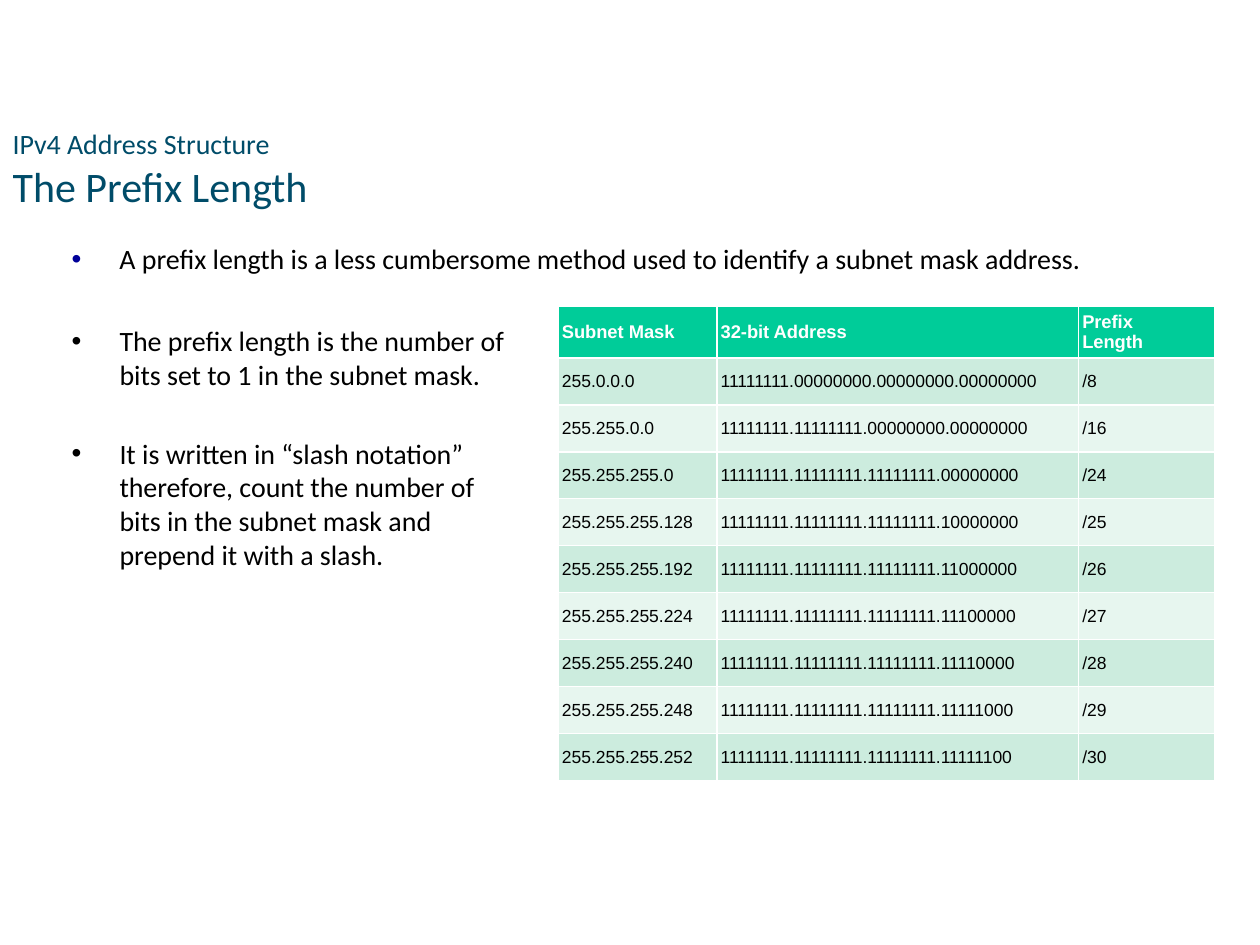
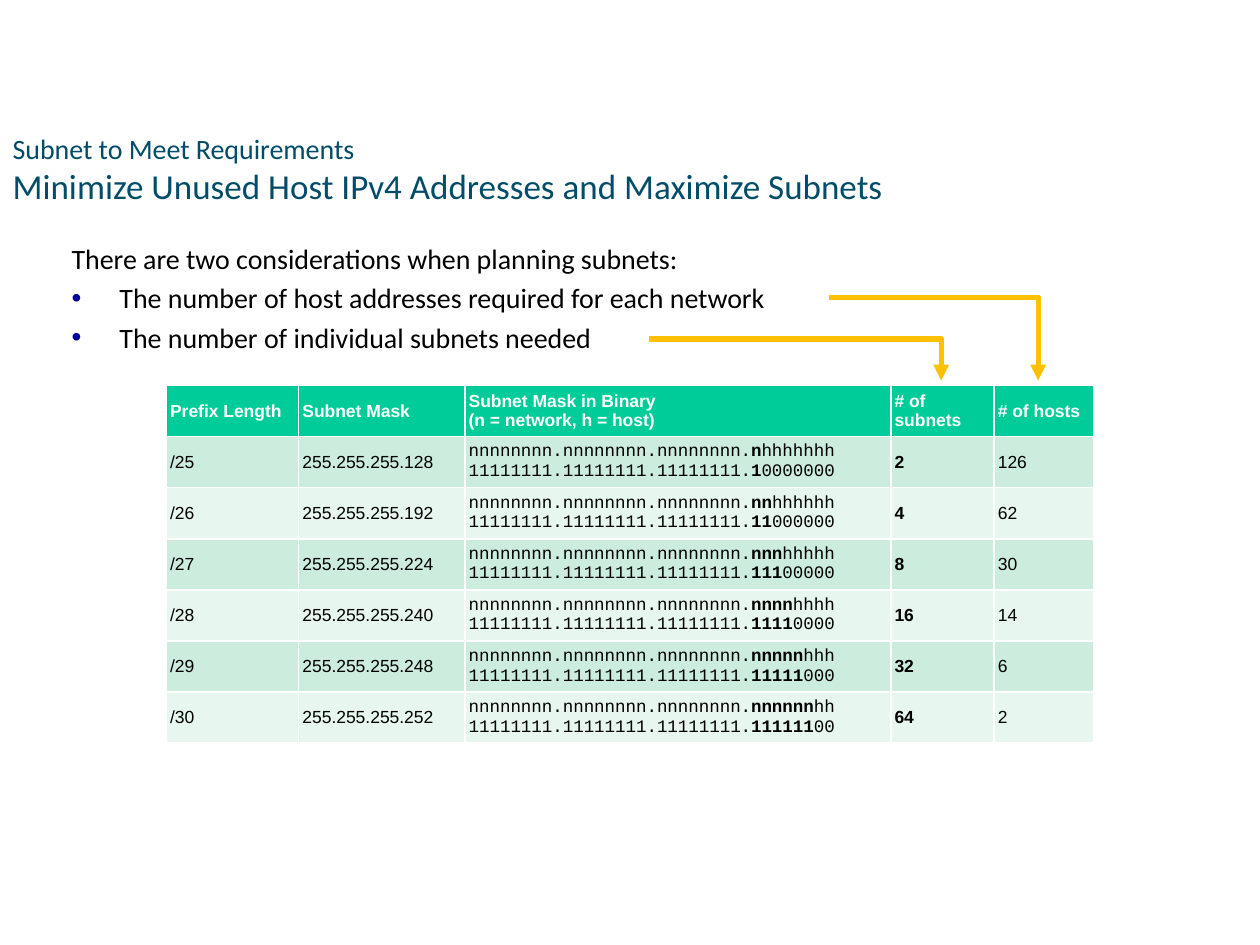
from copy import deepcopy

from lxml.etree import SubElement
from pptx import Presentation
from pptx.dml.color import RGBColor
from pptx.enum.shapes import MSO_CONNECTOR
from pptx.enum.text import MSO_ANCHOR, MSO_AUTO_SIZE, PP_ALIGN
from pptx.oxml.ns import qn
from pptx.util import Inches, Pt

# Shared colours and formats
TITLE_BLUE = RGBColor(0x00, 0x4C, 0x69)
BULLET_NAVY = RGBColor(0x00, 0x00, 0x99)
BLACK = RGBColor(0x00, 0x00, 0x00)
WHITE = RGBColor(0xFF, 0xFF, 0xFF)
HEADER_GREEN = RGBColor(0x00, 0xCC, 0x99)
BANDS = RGBColor(0xCC, 0xEC, 0xDE), RGBColor(0xE7, 0xF6, 0xEF)
ARROW_GOLD = RGBColor(0xFF, 0xC0, 0x00)

TITLE = {"name": "Calibri", "size": Pt(16), "color": TITLE_BLUE}
BODY = {"name": "Calibri", "size": Pt(16), "color": BLACK}
HEADER = {"name": "Arial", "size": Pt(10), "color": WHITE, "bold": True}
CELL = {"name": "Arial", "size": Pt(10), "color": BLACK, "bold": False}
CELL_BOLD = CELL | {"bold": True}
CODE = CELL | {"name": "Courier New"}
CODE_BOLD = CODE | {"bold": True}

# Content: (text, bulleted) lines, table headings and prefix lengths
PREFIX_TITLE = "IPv4 Address Structure", "The Prefix Length"
PREFIX_INTRO = [("A prefix length is a less cumbersome method used to identify a subnet mask address.", True)]
PREFIX_NOTES = [
    ("The prefix length is the number of bits set to 1 in the subnet mask.", True),
    ("It is written in “slash notation” therefore, count the number of bits "
     "in the subnet mask and prepend it with a slash.", True),
]
PREFIX_HEADINGS = ["Subnet Mask", "32-bit Address", "Prefix\nLength"]
PREFIX_LENGTHS = [8, 16, *range(24, 31)]

SUBNET_TITLE = "Subnet to Meet Requirements", "Minimize Unused Host IPv4 Addresses and Maximize Subnets"
SUBNET_NOTES = [
    ("There are two considerations when planning subnets:", False),
    ("The number of host addresses required for each network", True),
    ("The number of individual subnets needed", True),
]
SUBNET_HEADINGS = ["Prefix Length", "Subnet Mask", "Subnet Mask in Binary\n(n = network, h = host)",
                   "# of subnets", "# of hosts"]
SUBNET_LENGTHS = range(25, 31)
ARROWS = [(6.58, 2.36, 8.24, 3.02), (5.15, 2.69, 7.47, 3.02)]


# Text helpers
def add_run(paragraph, text, style):
    """Add text in one style, with a line break for each newline."""
    for index, line in enumerate(text.split("\n")):
        if index:
            paragraph.add_line_break()
            paragraph._p[-1].append(deepcopy(run._r.rPr))
        run = paragraph.add_run()
        run.text = line
        for name, value in style.items():
            if name == "color":
                run.font.color.rgb = value
            else:
                setattr(run.font, name, value)


def add_bullet(paragraph, color):
    properties = paragraph._p.get_or_add_pPr()
    properties.set("marL", str(Inches(0.38)))
    properties.set("indent", str(-Inches(0.38)))
    fill = SubElement(properties, qn("a:buClr"))
    SubElement(fill, qn("a:srgbClr"), val=str(color))
    SubElement(properties, qn("a:buFont"), typeface="Arial")
    SubElement(properties, qn("a:buChar"), char="•")


def add_text(slide, box, lines, bullet_color=BULLET_NAVY, gap=3.2):
    frame = slide.shapes.add_textbox(*map(Inches, box)).text_frame
    frame.word_wrap = True
    for index, (text, bulleted) in enumerate(lines):
        paragraph = frame.add_paragraph() if index else frame.paragraphs[0]
        if bulleted:
            add_bullet(paragraph, bullet_color)
        if index:
            paragraph.space_before = Pt(gap)
        add_run(paragraph, text, BODY)


def add_slide(presentation, title_lines, heading_size):
    slide = presentation.slides.add_slide(presentation.slide_layouts[5])
    title = slide.shapes.title
    title.left, title.top, title.width, title.height = map(Inches, (0, 0.94, 9.13, 0.8))
    frame = title.text_frame
    frame.auto_size = MSO_AUTO_SIZE.NONE
    frame.vertical_anchor = MSO_ANCHOR.MIDDLE
    paragraph = frame.paragraphs[0]
    paragraph.alignment = PP_ALIGN.LEFT
    topic, heading = title_lines
    add_run(paragraph, topic + "\n", TITLE)
    add_run(paragraph, heading, TITLE | {"size": Pt(heading_size)})
    return slide


# Table and arrow helpers
def add_table(slide, left, top, height, widths, rows):
    """Each cell of rows is a list of (text, style) runs."""
    table = slide.shapes.add_table(len(rows), len(widths), Inches(left), Inches(top),
                                   Inches(sum(widths)), Inches(height)).table
    for column, width in zip(table.columns, widths):
        column.width = Inches(width)
    for row_index, row in enumerate(rows):
        for column_index, runs in enumerate(row):
            cell = table.cell(row_index, column_index)
            cell.vertical_anchor = MSO_ANCHOR.MIDDLE
            for side in ("left", "top", "right", "bottom"):
                setattr(cell, f"margin_{side}", Inches(0.03))
            cell.fill.solid()
            cell.fill.fore_color.rgb = BANDS[(row_index - 1) % 2] if row_index else HEADER_GREEN
            for text, style in runs:
                add_run(cell.text_frame.paragraphs[0], text, style)


def add_arrow(slide, points):
    arrow = slide.shapes.add_connector(MSO_CONNECTOR.ELBOW, *map(Inches, points))
    properties = arrow._element.spPr
    properties.find(qn("a:prstGeom")).set("prst", "bentConnector2")
    arrow.line.color.rgb = ARROW_GOLD
    arrow.line.width = Pt(3)
    SubElement(arrow.line._get_or_add_ln(), qn("a:tailEnd"), type="triangle")
    SubElement(properties, qn("a:effectLst"))


# Address rules
def octets(length, network="1", host="0"):
    bits = network * length + host * (32 - length)
    return [bits[start:start + 8] for start in range(0, 32, 8)]


def subnet_mask(length):
    return ".".join(str(int(octet, 2)) for octet in octets(length))


def prefix_row(length):
    texts = subnet_mask(length), ".".join(octets(length)), f"/{length}"
    return [[(text, CELL)] for text in texts]


def subnet_row(length):
    borrowed = length - 24
    letters, digits = octets(length, "n", "h"), octets(length)
    binary = [
        (".".join(letters[:3]) + ".", CODE),
        (letters[3][:borrowed], CODE_BOLD),
        (letters[3][borrowed:] + "\n" + ".".join(digits[:3]) + ".", CODE),
        (digits[3][:borrowed], CODE_BOLD),
        (digits[3][borrowed:], CODE),
    ]
    return [[(f"/{length}", CELL)], [(subnet_mask(length), CELL)], binary,
            [(str(2 ** borrowed), CELL_BOLD)], [(str(2 ** (32 - length) - 2), CELL)]]


def header_row(headings, size):
    return [[(heading, HEADER | {"size": Pt(size)})] for heading in headings]


def main():
    presentation = Presentation()
    presentation.slide_width, presentation.slide_height = Inches(10), Inches(7.5)

    # Prefix length
    slide = add_slide(presentation, PREFIX_TITLE, 24)
    add_text(slide, (0.47, 1.87, 9.06, 0.56), PREFIX_INTRO)
    add_text(slide, (0.47, 2.52, 3.69, 3.36), PREFIX_NOTES, BLACK, gap=26)
    rows = [header_row(PREFIX_HEADINGS, 10.5), *map(prefix_row, PREFIX_LENGTHS)]
    add_table(slide, 4.43, 2.43, 3.73, [1.26, 2.87, 1.08], rows)

    # Subnets and hosts
    slide = add_slide(presentation, SUBNET_TITLE, 20)
    add_text(slide, (0.47, 1.87, 9.06, 1.06), SUBNET_NOTES)
    rows = [header_row(SUBNET_HEADINGS, 10), *map(subnet_row, SUBNET_LENGTHS)]
    add_table(slide, 1.32, 3.06, 2.84, [1.05, 1.32, 3.38, 0.82, 0.79], rows)
    for points in ARROWS:
        add_arrow(slide, points)

    presentation.save("out.pptx")


if __name__ == "__main__":
    main()
